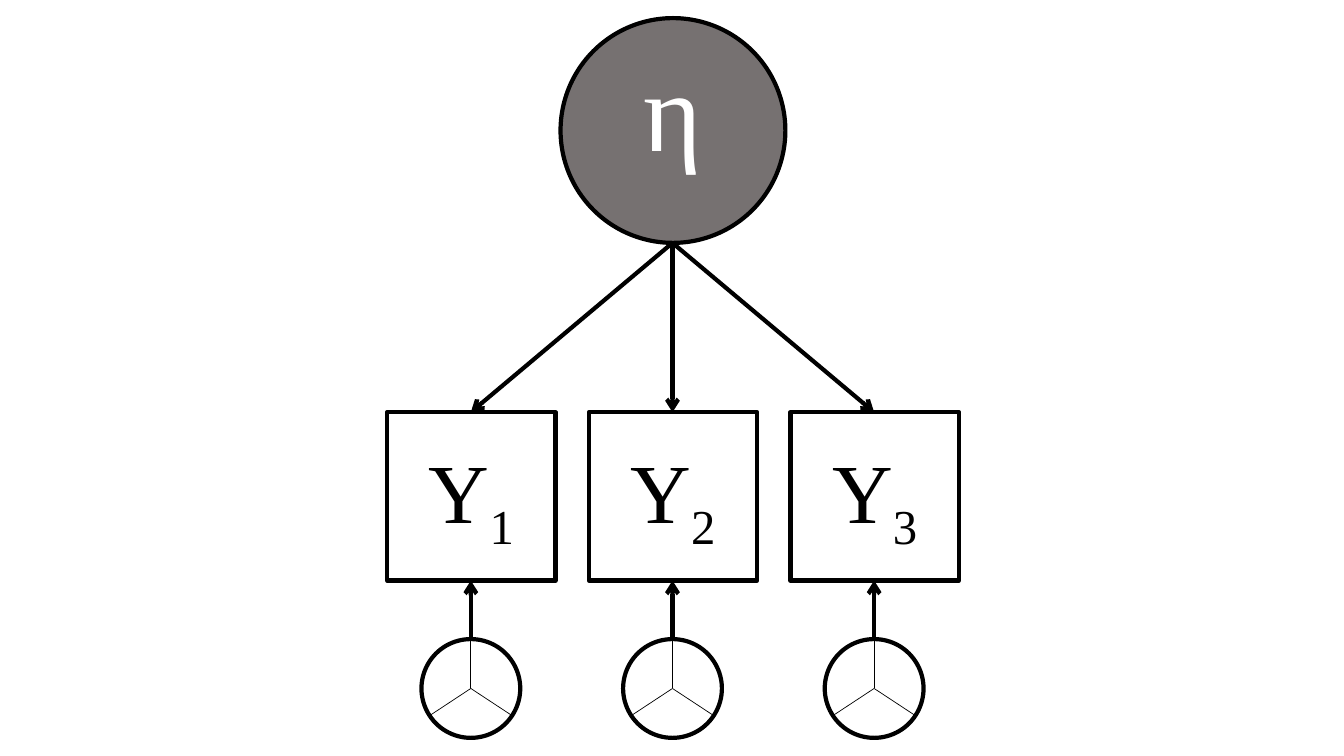
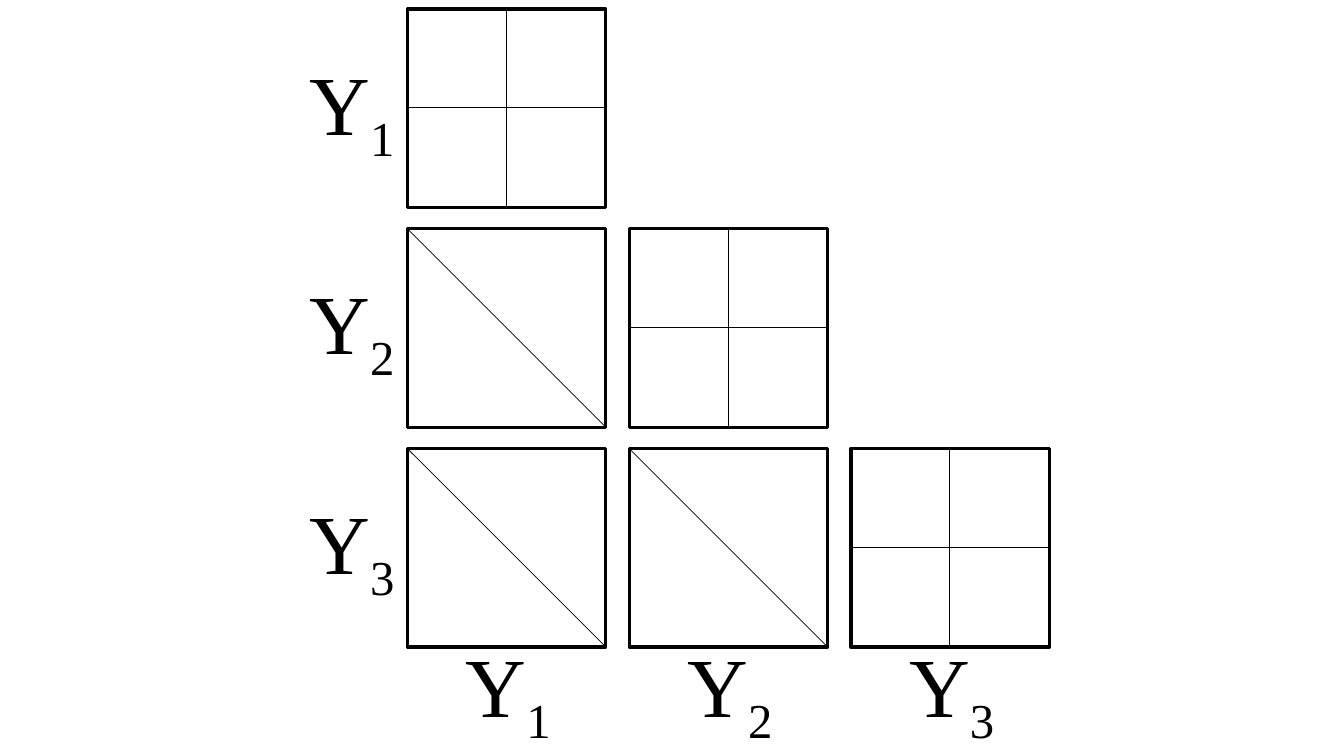
from pptx import Presentation
from pptx.dml.color import RGBColor
from pptx.enum.shapes import MSO_CONNECTOR, MSO_SHAPE
from pptx.enum.text import MSO_ANCHOR, PP_ALIGN
from pptx.oxml.ns import qn
from pptx.util import Emu, Pt
from lxml.etree import SubElement

PX = 9144  # 100 px to the inch
FONT = "Times New Roman"
BLACK, WHITE, GRAY = "000000", "FFFFFF", "767171"
THICK, MEDIUM, THIN = 3, 2.25, 0.5
LABEL_SIZE, FACTOR_SIZE = 60, 80
INDICES = (1, 2, 3)


def px(*lengths):
    return [Emu(length * PX) for length in lengths]


def color(hex_string):
    return RGBColor.from_string(hex_string)


def add_outline(shapes, kind, left, top, size, width, fill=None):
    """Add a square or circle with a black border; no fill means see-through."""
    shape = shapes.add_shape(kind, *px(left, top, size, size))
    shape.shadow.inherit = False
    if fill:
        shape.fill.solid()
        shape.fill.fore_color.rgb = color(fill)
    else:
        shape.fill.background()
    shape.line.color.rgb = color(BLACK)
    shape.line.width = Pt(width)
    return shape


def add_line(shapes, start, end, width, arrow=False):
    line = shapes.add_connector(MSO_CONNECTOR.STRAIGHT, *px(*start, *end))
    line.line.color.rgb = color(BLACK)
    line.line.width = Pt(width)
    properties = line._element.spPr
    if arrow:
        SubElement(properties.find(qn("a:ln")), qn("a:tailEnd"), type="arrow")
    SubElement(properties, qn("a:effectLst"))


def write_symbol(shape, symbol, size, hex_string, index=None):
    """Centre a symbol in the shape, with an optional subscript."""
    frame = shape.text_frame
    frame.word_wrap = False
    frame.vertical_anchor = MSO_ANCHOR.MIDDLE
    para = frame.paragraphs[0]
    para.text = symbol
    para.alignment = PP_ALIGN.CENTER
    if index is not None:
        subscript = para.add_run()
        subscript.text = str(index)
        subscript.font._element.set("baseline", "-25000")
    for span in para.runs:
        span.font.name = FONT
        span.font.size = Pt(size)
        span.font.color.rgb = color(hex_string)


def add_label(page, left, top, index):
    box = page.shapes.add_textbox(*px(left, top, 114, 111))
    write_symbol(box, "Y", LABEL_SIZE, BLACK, index)


def add_residual(page, center, top, box_bottom):
    """Add a circle in three sectors with an arrow up to its indicator."""
    shapes = page.shapes.add_group_shape().shapes
    radius = 49
    hub = (center, top + radius)
    add_line(shapes, (center, top), (center, box_bottom), THICK, arrow=True)
    add_outline(shapes, MSO_SHAPE.OVAL, center - radius, top, 2 * radius, THICK, WHITE)
    for dx, dy in ((0, -radius), (41, 27), (-41, 27)):
        add_line(shapes, (center + dx, hub[1] + dy), hub, THIN)


def add_cell(page, left, top, size, on_diagonal):
    """Add a matrix cell: quartered on the diagonal, halved below it."""
    shapes = page.shapes.add_group_shape().shapes
    right, bottom, half = left + size, top + size, size // 2
    add_outline(shapes, MSO_SHAPE.RECTANGLE, left, top, size, MEDIUM)
    if on_diagonal:
        add_line(shapes, (left, top + half), (right, top + half), THIN)
        add_line(shapes, (left + half, top), (left + half, bottom), THIN)
    else:
        add_line(shapes, (left, top), (right, bottom), THIN)


def build_factor_model(page):
    middle, step = 667, 200
    box_top, box_size = 409, 167
    factor_top, factor_size = 18, 223
    centers = [middle + step * (index - 2) for index in INDICES]

    for index, center in zip(INDICES, centers):
        box = add_outline(page.shapes, MSO_SHAPE.RECTANGLE, center - box_size // 2,
                          box_top, box_size, THICK, WHITE)
        write_symbol(box, "Y", LABEL_SIZE, BLACK, index)

    add_outline(page.shapes, MSO_SHAPE.OVAL, middle - factor_size // 2,
                factor_top, factor_size, THICK, GRAY)
    eta = page.shapes.add_textbox(*px(628, 33, 77, 145))
    write_symbol(eta, "η", FACTOR_SIZE, WHITE)

    for center in centers:
        add_line(page.shapes, (middle, factor_top + factor_size),
                 (center, box_top), THICK, arrow=True)
        add_residual(page, center, 634, box_top + box_size)


def build_matrix(page):
    left, top, size = 404, 9, 197
    column_step, row_step = 220, 218
    label_inset = 43
    for row, index in enumerate(INDICES):
        cell_top = top + row * row_step
        for column in range(row + 1):
            add_cell(page, left + column * column_step, cell_top, size, column == row)
        add_label(page, 292, cell_top + label_inset, index)
        add_label(page, left + row * column_step + label_inset, 630, index)


def main():
    deck = Presentation()
    deck.slide_width, deck.slide_height = px(1333, 750)
    blank = deck.slide_layouts[6]
    for build in (build_factor_model, build_matrix):
        build(deck.slides.add_slide(blank))
    deck.save("out.pptx")


if __name__ == "__main__":
    main()
